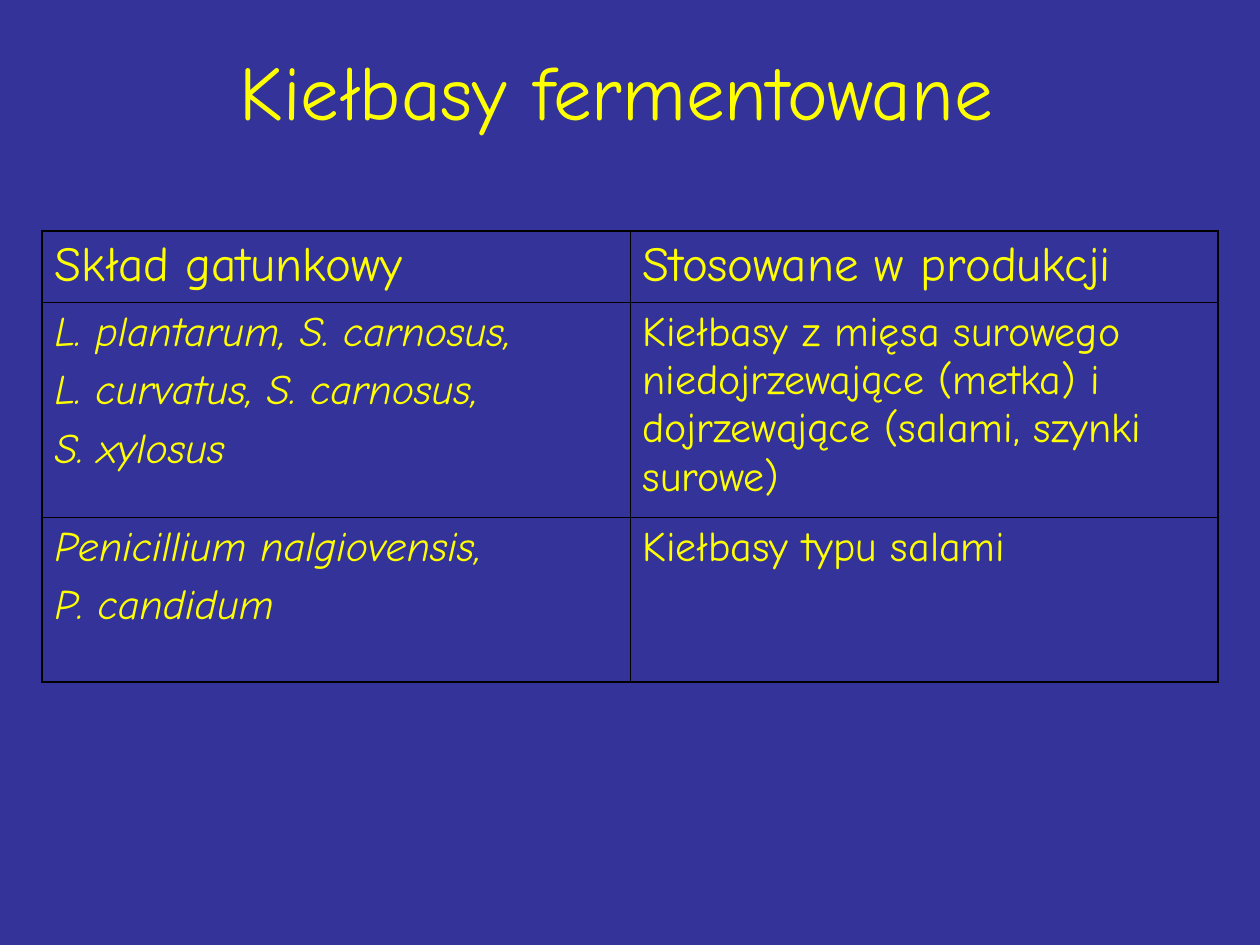
"""Build a slide with a table of starter cultures for fermented sausages."""
from lxml.etree import SubElement
from pptx import Presentation
from pptx.dml.color import RGBColor
from pptx.enum.text import MSO_ANCHOR as Anchor, MSO_AUTO_SIZE as AutoSize, PP_ALIGN as Align
from pptx.oxml.ns import qn
from pptx.util import Pt

TITLE = "Kiełbasy fermentowane "
ROWS = [
    ("Skład gatunkowy", "Stosowane w produkcji"),
    ("L. plantarum, S. carnosus,\nL. curvatus, S. carnosus,\nS. xylosus",
     "Kiełbasy z mięsa surowego niedojrzewające (metka) i dojrzewające (salami, szynki surowe)"),
    ("Penicillium nalgiovensis,\nP. candidum", "Kiełbasy typu salami"),
]
ROW_HEIGHTS = [71, 215, 165]
COLUMN_WIDTH = 588
TABLE_LEFT, TABLE_TOP = 42, 231
FONT, YELLOW, BLUE, BLACK = "Comic Neue", "FFFF00", "333399", "000000"
OUTER_LINE, INNER_LINE = 1.08, 0.45


def px(length):
    """Turn pixels into EMU."""
    return round(length * 914400 / 126)


def color(value):
    """Turn a hex string into a colour."""
    return RGBColor.from_string(value)


def format_text(para, size, italic=False):
    """Format every run of a paragraph."""
    for span in para.runs:
        span.font.name = FONT
        span.font.size = Pt(size)
        span.font.italic = italic
        span.font.color.rgb = color(YELLOW)


def add_border(cell, side, width):
    """Draw one solid side of a cell."""
    line = SubElement(cell._tc.get_or_add_tcPr(), qn(f"a:ln{side}"), w=str(Pt(width)))
    fill = SubElement(line, qn("a:solidFill"))
    SubElement(fill, qn("a:srgbClr"), val=BLACK)


def add_title(page):
    """Place and format the title."""
    title = page.shapes.title
    title.left, title.top, title.width, title.height = map(px, (94, 32, 1071, 116))
    frame = title.text_frame
    frame.text = TITLE
    frame.auto_size = AutoSize.NONE
    frame.vertical_anchor = Anchor.MIDDLE
    frame.paragraphs[0].alignment = Align.CENTER
    format_text(frame.paragraphs[0], 44)


def add_cultures(page):
    """Add the table with thick outer and thin inner lines."""
    row_count, column_count = len(ROWS), len(ROWS[0])
    box = page.shapes.add_table(row_count, column_count, px(TABLE_LEFT), px(TABLE_TOP),
                                px(COLUMN_WIDTH * column_count), px(sum(ROW_HEIGHTS)))
    table = box.table
    table.first_row = table.horz_banding = False
    for column in table.columns:
        column.width = px(COLUMN_WIDTH)
    for r, (texts, height) in enumerate(zip(ROWS, ROW_HEIGHTS)):
        table.rows[r].height = px(height)
        for c, text in enumerate(texts):
            cell = table.cell(r, c)
            outer_sides = {"L": c == 0, "R": c == column_count - 1,
                           "T": r == 0, "B": r == row_count - 1}
            for side, outer in outer_sides.items():
                add_border(cell, side, OUTER_LINE if outer else INNER_LINE)
            cell.fill.background()
            cell.text_frame.text = text
            for para in cell.text_frame.paragraphs:
                para.space_before = Pt(6 if r else 7)
                format_text(para, 24 if r else 28, italic=r > 0 and c == 0)


def main():
    """Build and save the deck."""
    deck = Presentation()
    deck.slide_width, deck.slide_height = px(1260), px(945)
    page = deck.slides.add_slide(deck.slide_layouts[5])
    page.background.fill.solid()
    page.background.fill.fore_color.rgb = color(BLUE)
    add_title(page)
    add_cultures(page)
    deck.save("out.pptx")


if __name__ == "__main__":
    main()
